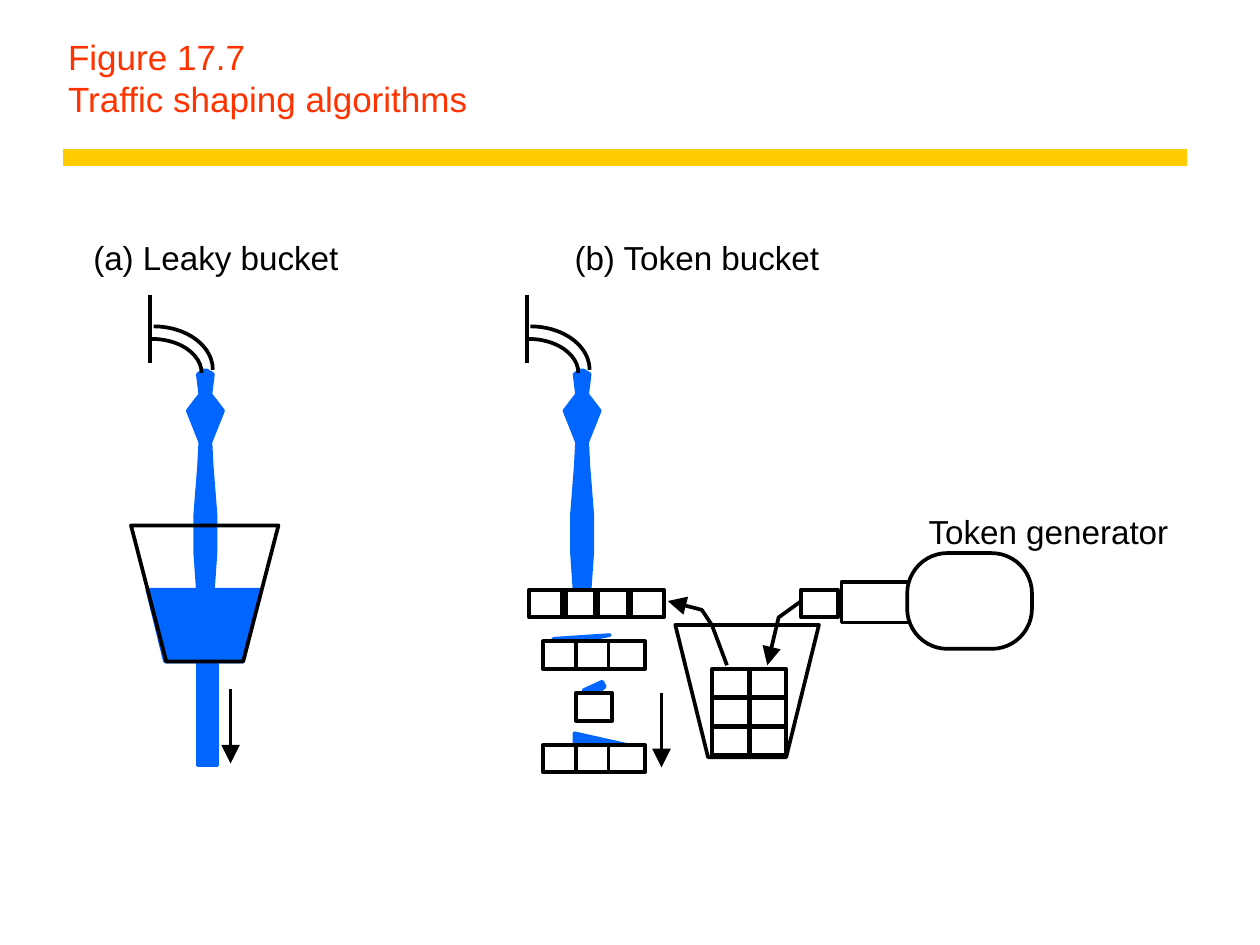
from dataclasses import dataclass

from lxml.etree import SubElement
from pptx import Presentation
from pptx.dml.color import RGBColor
from pptx.enum.shapes import MSO_CONNECTOR, MSO_SHAPE
from pptx.enum.text import MSO_ANCHOR, MSO_AUTO_SIZE, PP_ALIGN
from pptx.oxml.ns import qn
from pptx.util import Inches, Pt


@dataclass(frozen=True)
class Theme:
    ink: str = "000000"
    paper: str = "FFFFFF"
    water: str = "0066FF"
    gold: str = "FFCC00"
    title: str = "FF3300"
    font: str = "Arial"
    head: float = 20
    note: float = 19
    pen: float = 2.13
    bar: float = 10


look = Theme()
deck = Presentation()
deck.slide_width, deck.slide_height = Inches(10), Inches(7.5)
slide = deck.slides.add_slide(deck.slide_layouts[5])
shapes = slide.shapes
# The slide is a grid of 1000 columns by 750 rows of square cells.
cell = deck.slide_width // 1000
shift = 299  # columns from the left tap to the right one


def label(box, text, size=look.note, color=look.ink, inset=(0, 0),
          anchor=MSO_ANCHOR.TOP, wrap=False, fit=MSO_AUTO_SIZE.SHAPE_TO_FIT_TEXT):
    frame = box.text_frame
    frame.text = text
    frame.word_wrap, frame.auto_size = wrap, fit
    frame.vertical_anchor = anchor
    frame.margin_left = frame.margin_right = inset[0] * cell
    frame.margin_top = frame.margin_bottom = inset[1] * cell
    line = frame.paragraphs[0]
    line.alignment = PP_ALIGN.LEFT
    for run in line.runs:
        run.font.name, run.font.size = look.font, Pt(size)
        run.font.color.rgb = RGBColor.from_string(color)


def paint(shape, fill=None, line=look.ink, width=look.pen, arrow=False):
    """Set fill and line, take the shadow off and add an arrowhead if asked."""
    if hasattr(shape, "fill"):
        if fill:
            shape.fill.solid()
            shape.fill.fore_color.rgb = RGBColor.from_string(fill)
        else:
            shape.fill.background()
    shape.line.color.rgb = RGBColor.from_string(line)
    shape.line.width = Pt(width)
    if arrow:
        SubElement(shape.line._get_or_add_ln(), qn("a:tailEnd"),
                   type="triangle", w="lg", len="lg")
    SubElement(shape.element.spPr, qn("a:effectLst"))


# Title
title = shapes.title
title.left, title.top, title.width, title.height = (
    n * cell for n in (44, 25, 897, 75))
label(title, "Figure 17.7\vTraffic shaping algorithms", size=look.head,
      color=look.title, inset=(10, 5), anchor=MSO_ANCHOR.BOTTOM, wrap=True,
      fit=MSO_AUTO_SIZE.NONE)

# Outlines: fill, line, closed, points
outlines = [
    (look.water, look.water, True, [(463, 548), (466, 556), (480, 545), (478, 541)]),
    (look.water, look.water, True, [(456, 582), (456, 590), (501, 592)]),
    (look.water, look.water, True, [(439, 507), (439, 513), (484, 504)]),
]

# Streams: half the width of the water at each row, mirrored about the middle
stream = [(294, 1), (297, 6), (313, 4), (326, 14), (351, 4),
          (370, 5), (408, 8), (439, 8), (468, 6)]
for mid in (163, 163 + shift):
    right = [(mid + half, row) for row, half in stream]
    left = [(mid - half, row) for row, half in reversed(stream)]
    outlines.append((look.water, look.water, True, right + left))

# Pool and buckets: left, right, slant, top, bottom, fill, line
for left, right, slant, top, bottom, fill, line in [
        (117, 207, 14, 468, 525, look.water, look.water),
        (104, 221, 28, 417, 525, None, look.ink),
        (536, 650, 26, 496, 601, None, look.ink)]:
    outlines.append((fill, line, True, [(left, top), (left + slant, bottom),
                                        (right - slant, bottom), (right, top)]))

# Token paths, into the bucket and out to the packets
outlines += [
    (None, look.ink, False, [(577, 528), (565, 496), (557, 484), (530, 477)]),
    (None, look.ink, False, [(636, 477), (618, 490), (609, 528)]),
]

outlet = shapes.add_shape(MSO_SHAPE.RECTANGLE, *(n * cell for n in (157, 525, 15, 82)))
paint(outlet, look.water, look.water)
for fill, line, closed, points in outlines:
    pen = shapes.build_freeform(*points[0], scale=cell)
    pen.add_line_segments(points[1:], close=closed)
    paint(pen.convert_to_shape(), fill, line, arrow=not closed)

# Straight lines: title rule, walls behind the taps, down arrows
rules = [(50, 125, 942, 125, look.gold, look.bar, False)]
for col, top, bottom, arrow in [(119, 234, 288, False), (119 + shift, 234, 288, False),
                                (183, 547, 606, True), (525, 550, 609, True)]:
    rules.append((col, top, col, bottom, look.ink, look.pen, arrow))
for *ends, color, width, arrow in rules:
    rule = shapes.add_connector(MSO_CONNECTOR.STRAIGHT, *(n * cell for n in ends))
    paint(rule, line=color, width=width, arrow=arrow)

# Taps: two quarter arcs each
for move in (0, shift):
    for left, top, wide, high in [(81, 269, 79, 54), (75, 259, 94, 69)]:
        paint(shapes.add_shape(MSO_SHAPE.ARC, *(
            n * cell for n in (left + move, top, wide, high))))

# Packets and tokens: left, top, columns, rows, fill
wide, high = 29, 22
for left, top, cols, rows, fill in [
        (420, 468, 4, 1, None), (431, 509, 3, 1, look.paper),
        (457, 550, 1, 1, look.paper), (431, 591, 3, 1, look.paper),
        (565, 531, 2, 3, None), (636, 468, 1, 1, None)]:
    step = wide + 1 if rows > 1 else wide - 3
    for row in range(rows):
        for col in range(cols):
            spot = (left + col * step, top + row * (high + 1), wide, high)
            box = shapes.add_shape(MSO_SHAPE.RECTANGLE, *(n * cell for n in spot))
            paint(box, fill)

# Token generator
neck = shapes.add_shape(MSO_SHAPE.RECTANGLE, *(n * cell for n in (668, 462, 67, 32)))
paint(neck)
tank = shapes.add_shape(MSO_SHAPE.ROUNDED_RECTANGLE,
                        *(n * cell for n in (720, 439, 99, 76)))
tank.adjustments[0] = 0.42
paint(tank, look.paper)

# Labels
for left, top, span, text in [(74, 188, 195, "(a) Leaky bucket"),
                              (456, 188, 198, "(b) Token bucket"),
                              (737, 406, 193, "Token generator")]:
    label(shapes.add_textbox(*(n * cell for n in (left, top, span, 32))), text)

deck.save("out.pptx")
